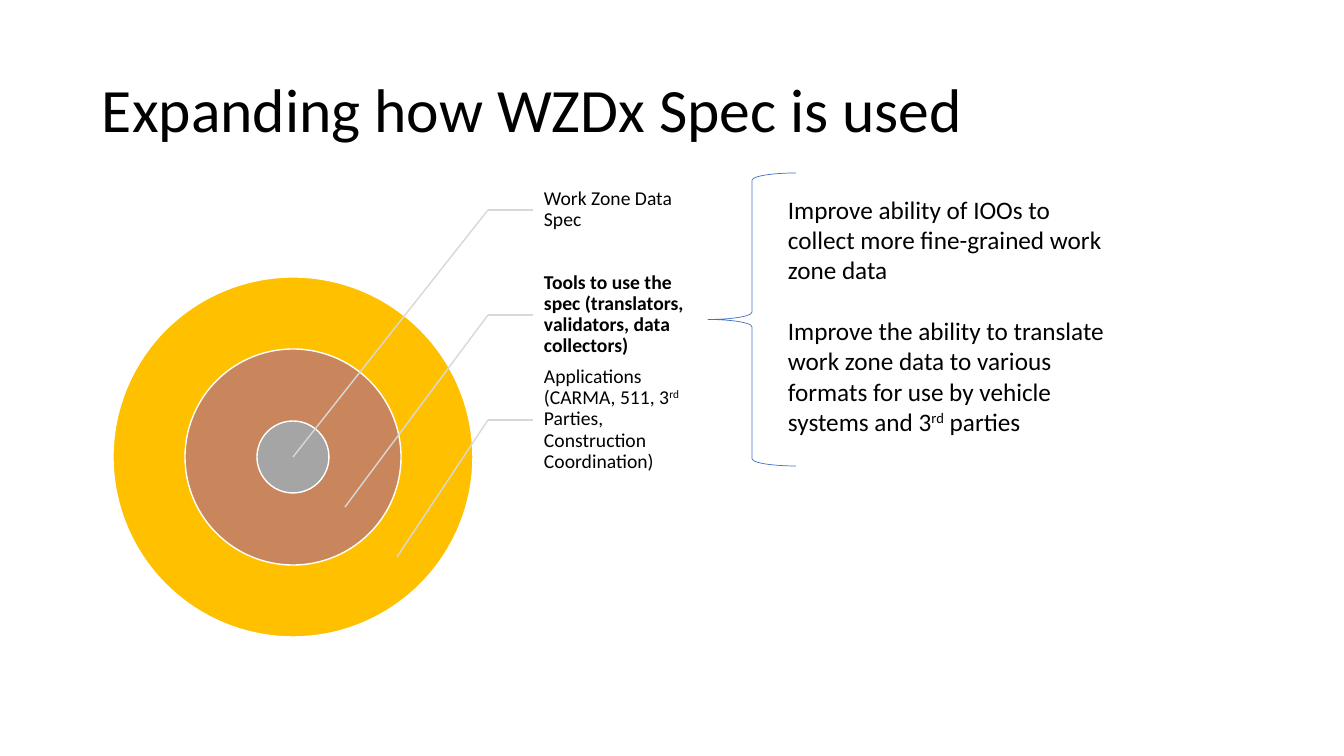
import pptx
import pptx.util
import pptx.dml.color
import pptx.enum.shapes
import pptx.enum.text
import pptx.oxml.ns
import lxml.etree

EMU_PER_PX = 12192000 / 1344
SHAPES = pptx.enum.shapes.MSO_SHAPE
ANCHOR = pptx.enum.text.MSO_ANCHOR

CENTER_X, CENTER_Y = 293, 457
RINGS = [(360, "FFC000"), (216, "C9865C"), (72, "A5A5A5")]
LABELS = [
    ("Work Zone Data Spec", False),
    ("Tools to use the spec (translators, validators, data collectors)", True),
    ("Applications (CARMA, 511, 3^rd^ Parties, Construction Coordination)", False),
]
LABEL_X, LABEL_Y, LABEL_W, LABEL_H = 533, 157, 179, 105
ELBOW_X = 488
GOALS = [
    "Improve ability of IOOs to collect more fine-grained work zone data",
    "Improve the ability to translate work zone data to various formats "
    "for use by vehicle systems and 3^rd^ parties",
]


def px(n):
    return pptx.util.Emu(round(n * EMU_PER_PX))


def color(value):
    return pptx.dml.color.RGBColor.from_string(value)


def add_text(s, box, paragraphs, size, bold=False, anchor=ANCHOR.MIDDLE,
             insets=(10, 5, 10, 5), line_spacing=1.0, gap=0):
    tf = s.shapes.add_textbox(*map(px, box)).text_frame
    tf.word_wrap = True
    tf.vertical_anchor = anchor
    tf.margin_left, tf.margin_top, tf.margin_right, tf.margin_bottom = map(px, insets)
    for i, text in enumerate(paragraphs):
        p = tf.add_paragraph() if i else tf.paragraphs[0]
        p.line_spacing = line_spacing
        if i:
            p.space_before = pptx.util.Pt(gap)
        for j, part in enumerate(text.split("^")):
            r = p.add_run()
            r.text = part
            r.font.name = "Calibri"
            r.font.size = pptx.util.Pt(size)
            r.font.bold = bold
            r.font.color.rgb = color("000000")
            if j % 2:
                r.font._element.set("baseline", "30000")


def add_shape(s, kind, box, line, width, fill=None):
    sp = s.shapes.add_shape(kind, *map(px, box))
    sp.shadow.inherit = False
    if fill:
        sp.fill.solid()
        sp.fill.fore_color.rgb = color(fill)
    else:
        sp.fill.background()
    sp.line.color.rgb = color(line)
    sp.line.width = pptx.util.Pt(width)


def add_line(s, x1, y1, x2, y2):
    straight = pptx.enum.shapes.MSO_CONNECTOR.STRAIGHT
    cxn = s.shapes.add_connector(straight, px(x1), px(y1), px(x2), px(y2))
    cxn.line.color.rgb = color("D8D8D8")
    cxn.line.width = pptx.util.Pt(1)
    lxml.etree.SubElement(cxn._element.spPr, pptx.oxml.ns.qn("a:effectLst"))


def add_ring(s, diameter, fill):
    box = (CENTER_X - diameter / 2, CENTER_Y - diameter / 2, diameter, diameter)
    add_shape(s, SHAPES.OVAL, box, "FFFFFF", 1, fill)


def add_callout(s, i, text, bold):
    top = LABEL_Y + i * LABEL_H
    y = 210 + i * LABEL_H
    add_text(s, (LABEL_X, top, LABEL_W, LABEL_H), [text], 14, bold,
             insets=(11, 2, 2, 2), line_spacing=0.9)
    add_line(s, ELBOW_X, y, LABEL_X, y)
    add_line(s, ELBOW_X, y, CENTER_X + 52 * i, CENTER_Y + 50 * i)


def main():
    prs = pptx.Presentation()
    prs.slide_width, prs.slide_height = px(1344), px(756)
    s = prs.slides.add_slide(prs.slide_layouts[6])
    add_text(s, (92, 40, 1159, 146), ["Expanding how WZDx Spec is used"], 44,
             line_spacing=0.9)
    for diameter, fill in RINGS:
        add_ring(s, diameter, fill)
    for i, (text, bold) in enumerate(LABELS):
        add_callout(s, i, text, bold)
    add_shape(s, SHAPES.LEFT_BRACE, (708, 173, 88, 293), "4472C4", 0.5)
    add_text(s, (778, 189, 337, 254), GOALS, 18, anchor=ANCHOR.TOP, gap=22)
    prs.save("out.pptx")


if __name__ == "__main__":
    main()
